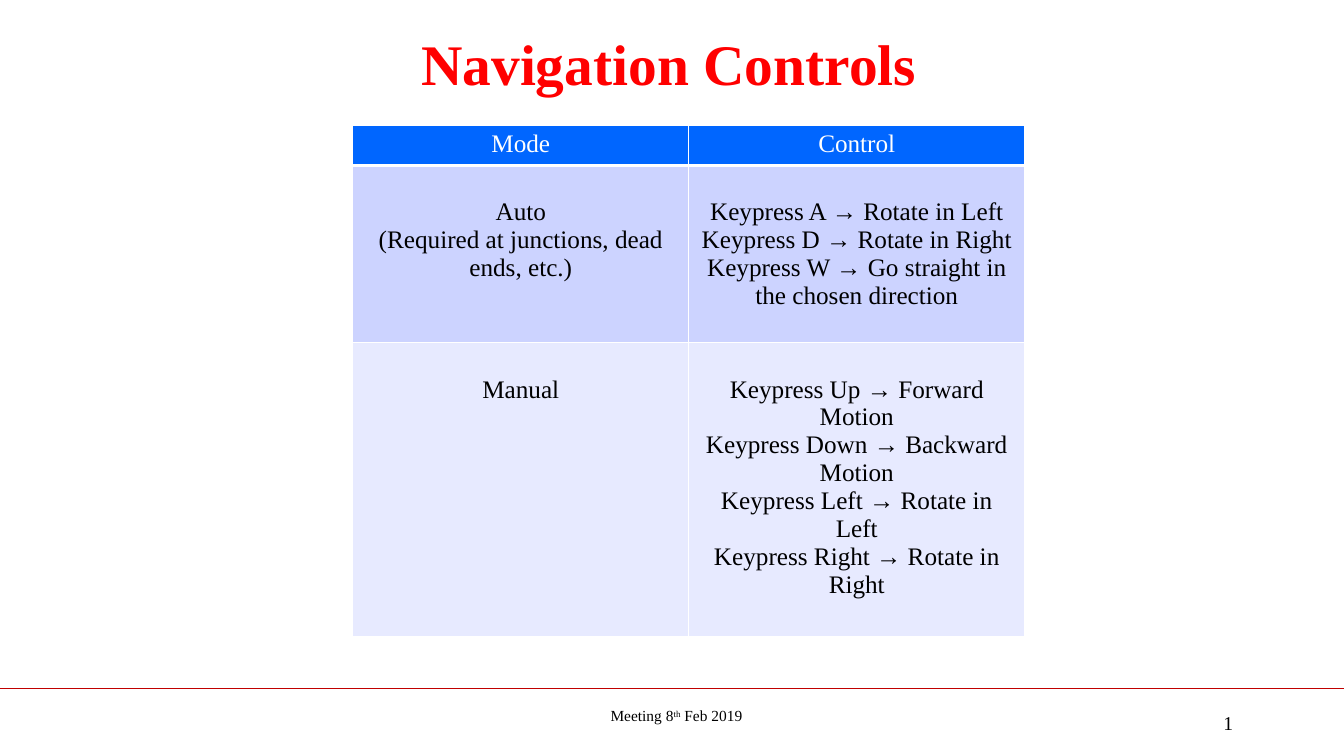
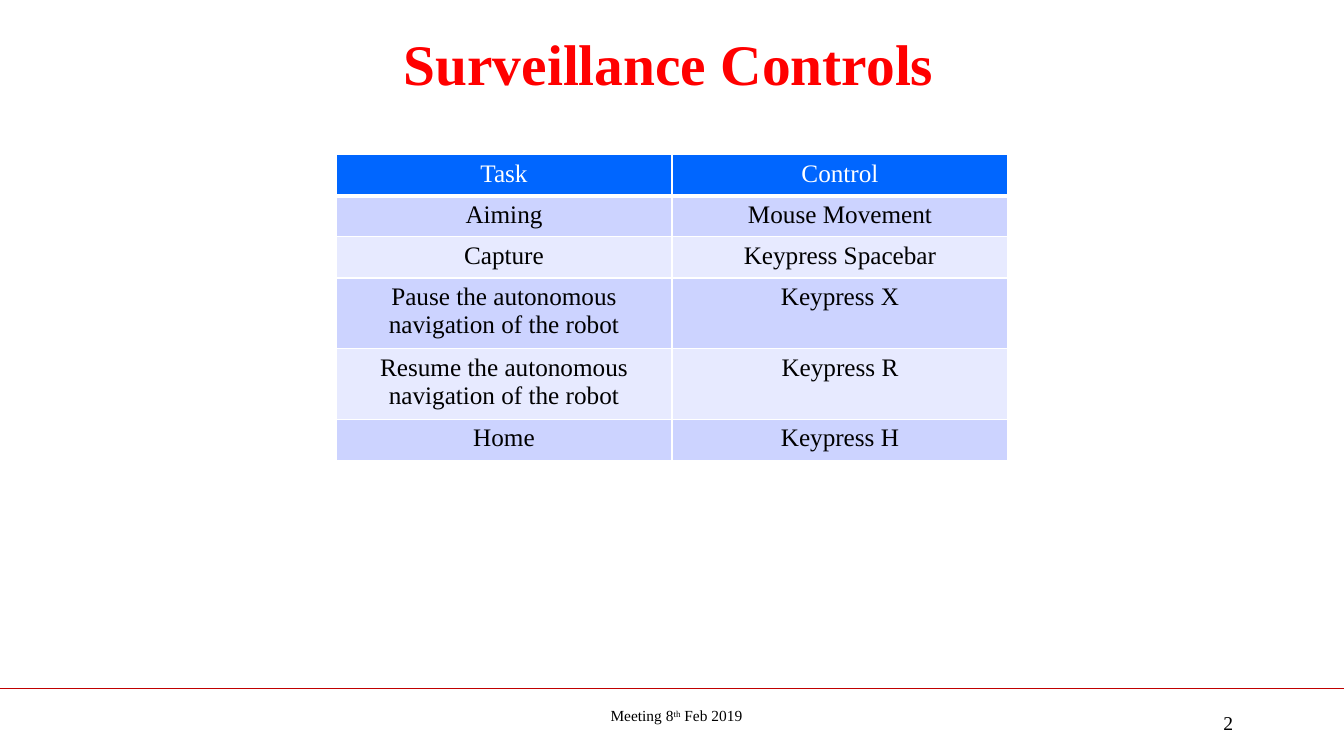
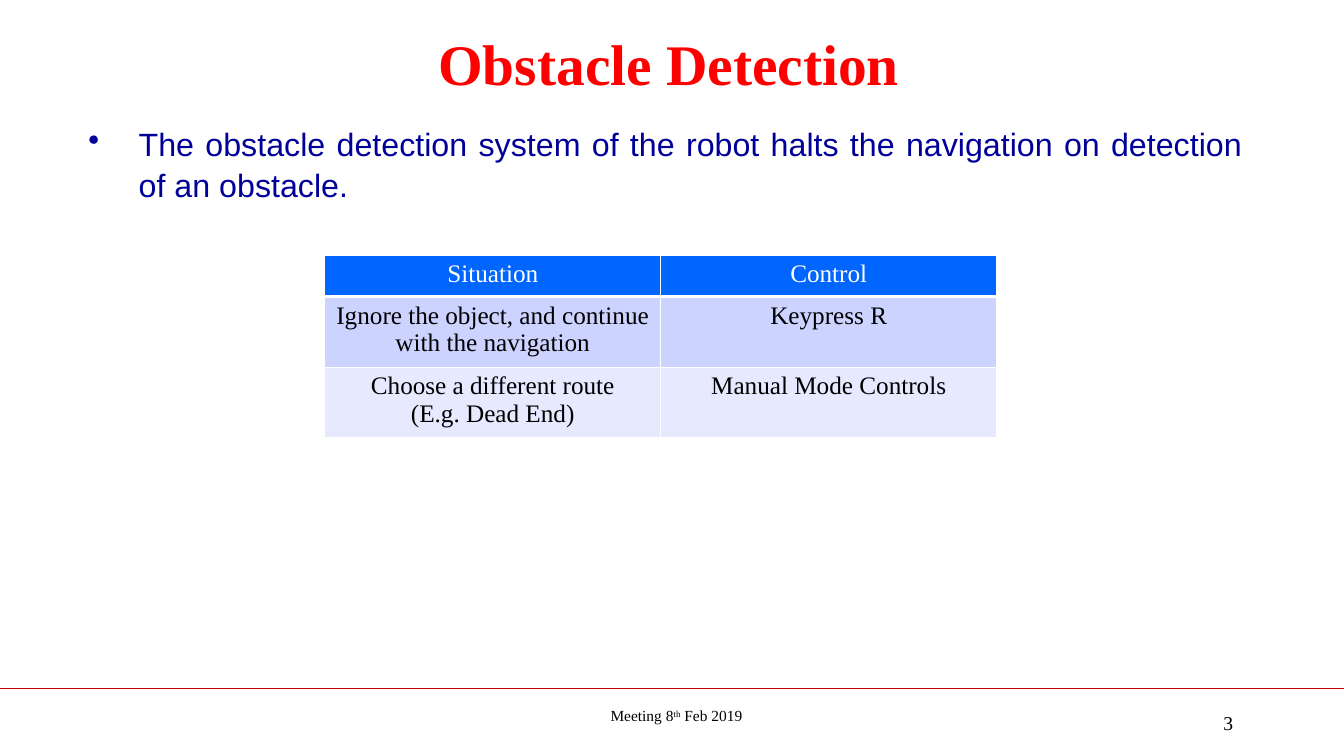
from lxml.etree import SubElement as Sub
from pptx import Presentation
from pptx.dml.color import RGBColor as RGB
from pptx.enum.shapes import MSO_CONNECTOR as Link
from pptx.enum.text import MSO_ANCHOR as Anchor, PP_ALIGN as Align
from pptx.oxml.ns import qn
from pptx.util import Inches, Pt

# Page grid: 120 columns by 90 rows
WIDTH, HEIGHT = Inches(13.33), Inches(7.5)
COLS, ROWS = 120, 90

SERIF, SANS = "Times New Roman", "Arial"
RED = RGB(0xFF, 0x00, 0x00)
RULE = RGB(0xC0, 0x00, 0x00)
NAVY = RGB(0x00, 0x00, 0x99)
BLUE = RGB(0x00, 0x66, 0xFF)
BANDS = RGB(0xCC, 0xD3, 0xFF), RGB(0xE7, 0xEA, 0xFF)
BLACK = RGB(0x00, 0x00, 0x00)
WHITE = RGB(0xFF, 0xFF, 0xFF)

# Boxes as column, row, columns wide, rows high
TITLE = 8.73, 3, 102, 9
BODY = 7, 14, 105, 67
DATE = 41.4, 83.5, 38, 5
PAGE = 86, 84, 25, 5
RULE_ROW = 82
LINE, PAIR = 4.9, 7.8  # table rows holding one or two lines of text


def across(cols):
    return round(WIDTH * cols / COLS)


def down(rows):
    return round(HEIGHT * rows / ROWS)


def place(box):
    x, y, wide, high = box
    return across(x), down(y), across(wide), down(high)


def style(frame, size, color, align=Align.CENTER, face=SERIF, bold=False):
    for para in frame.paragraphs:
        para.alignment = align
        for run in para.runs:
            font = run.font
            font.name, font.size, font.bold = face, Pt(size), bold
            font.color.rgb = color


def write(slide, box, text, size, color, **look):
    frame = slide.shapes.add_textbox(*place(box)).text_frame
    frame.word_wrap = True
    frame.text = text
    style(frame, size, color, **look)
    return frame


def footer(slide, page):
    # Rule across the page
    y = down(RULE_ROW)
    rule = slide.shapes.add_connector(Link.STRAIGHT, 0, y, WIDTH, y)
    rule.line.color.rgb = RULE
    rule.line.width = Pt(1)
    Sub(rule._element.spPr, qn("a:effectLst"))

    # Page number and date
    write(slide, PAGE, str(page), 14, BLACK, align=Align.RIGHT)
    frame = write(slide, DATE, "Meeting 8", 11, BLACK)
    para = frame.paragraphs[0]
    for part in ("th", " Feb 2019"):
        para.add_run().text = part
    style(frame, 11, BLACK)
    para.runs[1]._r.get_or_add_rPr().set("baseline", "30000")


def heading(slide, text):
    frame = write(slide, TITLE, text, 41, RED, bold=True)
    frame.vertical_anchor = Anchor.MIDDLE


def bullet(slide, box, text):
    frame = write(slide, box, text, 23, NAVY, align=Align.JUSTIFY, face=SANS)
    para = frame.paragraphs[0]
    para.line_spacing = 1.05
    props = para._p.get_or_add_pPr()
    props.set("marL", str(Inches(0.5)))
    props.set("indent", str(-Inches(0.5)))
    Sub(props, qn("a:buChar"), char="•")


def edge(cell, head):
    props = cell._tc.get_or_add_tcPr()
    for side in "LRTB":
        width = Pt(3 if head and side == "B" else 1)
        line = Sub(props, qn(f"a:ln{side}"), w=str(width))
        fill = Sub(line, qn("a:solidFill"))
        Sub(fill, qn("a:srgbClr"), val=str(WHITE))


def grid(slide, spot, rows, highs, pad=0):
    """Table of text rows; pad lowers the body text, in page rows."""
    count = len(rows[0])
    box = (*spot, 60, sum(highs))
    table = slide.shapes.add_table(len(rows), count, *place(box)).table
    table.horz_banding = False
    for col in table.columns:
        col.width = across(60 / count)
    for i, (texts, high) in enumerate(zip(rows, highs)):
        table.rows[i].height = down(high)
        head = i == 0
        for j, text in enumerate(texts):
            cell = table.cell(i, j)
            edge(cell, head)
            cell.fill.solid()
            cell.fill.fore_color.rgb = BLUE if head else BANDS[(i - 1) % 2]
            if pad and not head:
                cell.margin_top = down(pad)
            cell.text_frame.text = text
            style(cell.text_frame, 18, WHITE if head else BLACK)


def drive(slide):
    rows = [
        ("Mode", "Control"),
        ("Auto\n(Required at junctions, dead ends, etc.)",
         "Keypress A → Rotate in Left\n"
         "Keypress D → Rotate in Right\n"
         "Keypress W → Go straight in the chosen direction"),
        ("Manual",
         "Keypress Up → Forward Motion\n"
         "Keypress Down → Backward Motion\n"
         "Keypress Left → Rotate in Left\n"
         "Keypress Right → Rotate in Right"),
    ]
    grid(slide, (31.5, 14.9), rows, (4.5, 21.1, 35), pad=3.9)


def watch(slide):
    rows = [
        ("Task", "Control"),
        ("Aiming", "Mouse Movement"),
        ("Capture", "Keypress Spacebar"),
        ("Pause the autonomous navigation of the robot", "Keypress X"),
        ("Resume the autonomous navigation of the robot", "Keypress R"),
        ("Home", "Keypress H"),
    ]
    grid(slide, (30, 18.4), rows, (LINE, LINE, LINE, PAIR, PAIR, LINE))


def detect(slide):
    bullet(slide, BODY, "The obstacle detection system of the robot halts "
                        "the navigation on detection of an obstacle.")
    rows = [
        ("Situation", "Control"),
        ("Ignore the object, and continue with the navigation", "Keypress R"),
        ("Choose a different route\n(E.g. Dead End)", "Manual Mode Controls"),
    ]
    grid(slide, (29, 30.4), rows, (LINE, PAIR, PAIR))


def main():
    deck = Presentation()
    deck.slide_width, deck.slide_height = WIDTH, HEIGHT
    pages = [
        ("Navigation Controls", drive),
        ("Surveillance Controls", watch),
        ("Obstacle Detection", detect),
    ]
    for page, (title, build) in enumerate(pages, 1):
        slide = deck.slides.add_slide(deck.slide_layouts[6])
        heading(slide, title)
        build(slide)
        footer(slide, page)
    deck.save("out.pptx")


if __name__ == "__main__":
    main()
